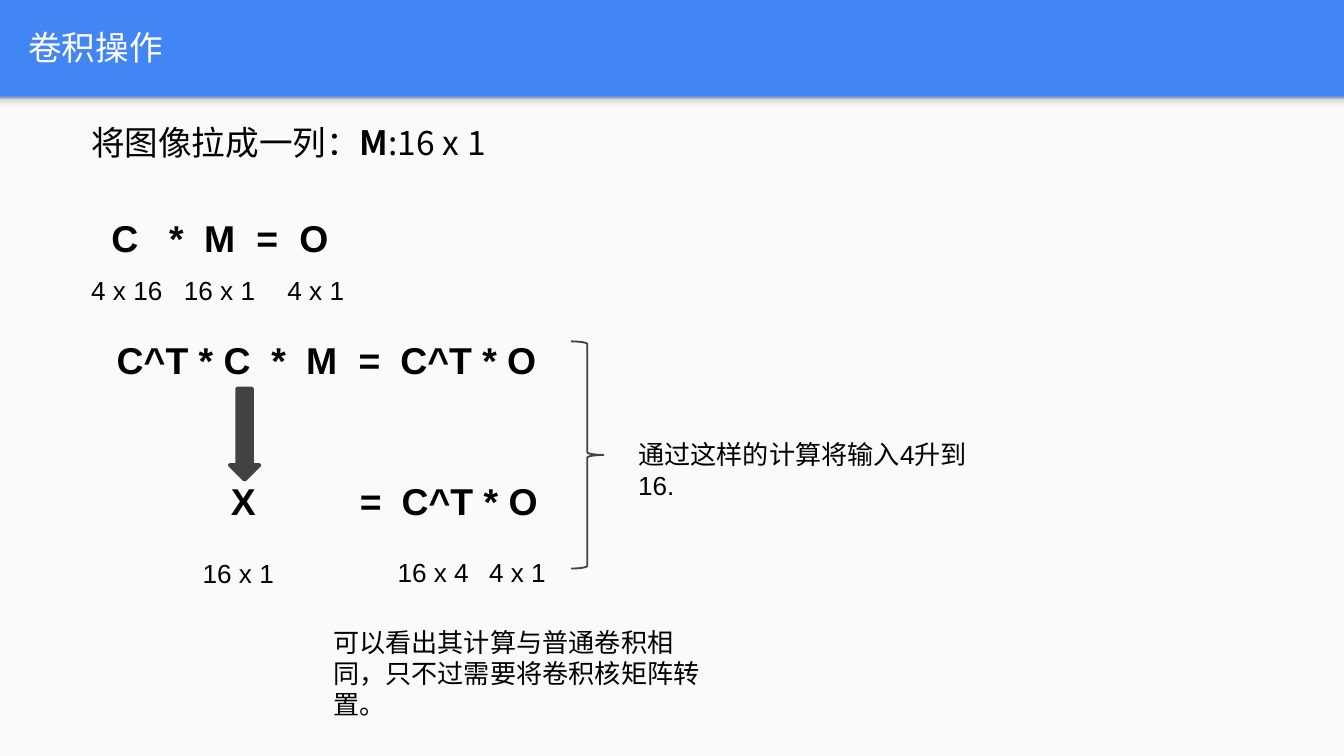
import copy

import pptx
import pptx.dml.color
import pptx.enum.shapes
import pptx.enum.text
import pptx.oxml
import pptx.oxml.ns
import pptx.util

Inches = pptx.util.Inches
Pt = pptx.util.Pt
Shape = pptx.enum.shapes.MSO_SHAPE

COLORS = {
    "header": "4285F4",
    "panel": "FAFAFA",
    "text": "000000",
    "title": "FFFFFF",
    "mark": "424242",
}
SHADE = [(0, "F9F9F9"), (0.36, "F9F9F9"), (0.8, "DEDEDE"), (1, "999999")]


def rgb(value):
    return pptx.dml.color.RGBColor.from_string(value)


class SlideBuilder:
    def __init__(self, slide):
        self.slide = slide
        self.font = "Arial"
        background = slide.background.fill
        background.solid()
        background.fore_color.rgb = rgb(COLORS["header"])

    def add_run(self, paragraph, text, size, font, color="text", bold=False):
        run = paragraph.add_run()
        run.text = text
        run.font.size = Pt(size)
        run.font.name = font
        run.font.bold = bold
        run.font.color.rgb = rgb(COLORS[color])

    def title(self, text, left, top, width, height):
        title = self.slide.shapes.title
        title.left, title.top = Inches(left), Inches(top)
        title.width, title.height = Inches(width), Inches(height)
        frame = title.text_frame
        frame.auto_size = pptx.enum.text.MSO_AUTO_SIZE.NONE
        frame.vertical_anchor = pptx.enum.text.MSO_ANCHOR.MIDDLE
        frame.margin_left = frame.margin_right = Inches(0.1)
        frame.margin_top = frame.margin_bottom = Inches(0.1)
        paragraph = frame.paragraphs[0]
        paragraph.alignment = pptx.enum.text.PP_ALIGN.LEFT
        self.add_run(paragraph, text, 18, "Roboto", "title")

    def text(self, parts, left, top, width, height, size=14, font=None, tabs=()):
        """Add a text box; parts are (text, bold) pairs, tabs are stops in inches."""
        box = self.slide.shapes.add_textbox(
            Inches(left), Inches(top), Inches(width), Inches(height))
        box.text_frame.word_wrap = True
        paragraph = box.text_frame.paragraphs[0]
        properties = paragraph._p.get_or_add_pPr()
        properties.set("hangingPunct", "0")
        if tabs:
            stops = pptx.oxml.parse_xml(
                "<a:tabLst %s/>" % pptx.oxml.ns.nsdecls("a"))
            for position in tabs:
                stop = stops.makeelement(pptx.oxml.ns.qn("a:tab"))
                stop.set("pos", str(Inches(position)))
                stop.set("algn", "l")
                stops.append(stop)
            properties.append(stops)
        for content, bold in parts:
            self.add_run(paragraph, content, size, font or self.font, bold=bold)

    def formula(self, text, left, top, width, tabs):
        self.text([(text, True)], left, top, width, 0.44, size=20, tabs=tabs)

    def shape(self, kind, left, top, width, height, fill=None, line=None):
        """Add a preset shape; line is a width in points."""
        shape = self.slide.shapes.add_shape(
            kind, Inches(left), Inches(top), Inches(width), Inches(height))
        shape.shadow.inherit = False
        if fill:
            shape.fill.solid()
            shape.fill.fore_color.rgb = rgb(COLORS[fill])
        else:
            shape.fill.background()
        if line:
            shape.line.color.rgb = rgb(COLORS["mark"])
            shape.line.width = Pt(line)
        else:
            shape.line.fill.background()
        return shape

    def header_shade(self, left, top, width, height):
        """Add the strip that darkens towards the header above it."""
        strip = self.shape(Shape.RECTANGLE, left, top, width, height)
        strip.fill.gradient()
        stop_list = next(strip._element.spPr.iter(pptx.oxml.ns.qn("a:gsLst")))
        while len(stop_list) < len(SHADE):
            stop_list.append(copy.deepcopy(stop_list[0]))
        for stop, (position, color) in zip(strip.fill.gradient_stops, SHADE):
            stop.position = position
            stop.color.rgb = rgb(color)
        strip.fill.gradient_angle = 90


def main():
    deck = pptx.Presentation()
    deck.slide_width = Inches(10)
    deck.slide_height = deck.slide_width * 9 // 16
    page = SlideBuilder(deck.slides.add_slide(deck.slide_layouts[5]))

    page.shape(Shape.RECTANGLE, 0, 0.72, 10, 4.91, fill="panel")
    page.header_shade(0, 0.72, 10, 0.12)
    page.title("卷积操作", 0.11, 0.02, 9.65, 0.66)

    page.text([("将图像拉成一列：", False), ("M", True), (":16 x 1", False)],
              0.58, 0.86, 3.51, 0.4, size=18, font="Noto Sans CJK SC")

    page.formula("C\t*\tM\t=\tO", 0.73, 1.55, 2.43, [0.43, 0.69, 1.08, 1.4])
    page.formula("C^T * C\t*\tM\t=\tC^T * O", 0.77, 2.46, 3.98,
                 [1.15, 1.41, 1.8, 2.11])
    page.formula("\tX\t=\tC^T * O", 0.77, 3.51, 3.98, [0.85, 1.81, 2.12])

    dimensions = [
        ("4 x 16", 0.58, 1.99, 0.8),
        ("16 x 1", 1.27, 1.99, 0.8),
        ("4 x 1", 2.04, 1.99, 0.71),
        ("16 x 4", 2.86, 4.09, 0.8),
        ("4 x 1", 3.54, 4.09, 0.71),
        ("16 x 1", 1.41, 4.1, 0.8),
    ]
    for size_label, left, top, width in dimensions:
        page.text([(size_label, False)], left, top, width, 0.34)

    page.shape(Shape.DOWN_ARROW, 1.71, 2.89, 0.22, 0.68, fill="mark", line=2)
    page.shape(Shape.RIGHT_BRACE, 4.25, 2.54, 0.24, 1.69, line=1)

    page.text([("通过这样的计算将输入4升到16.", False)], 4.65, 3.21, 2.9, 0.34)
    page.text([("可以看出其计算与普通卷积相同，只不过需要将卷积核矩阵转置。", False)],
              2.38, 4.61, 3.02, 0.57)

    deck.save("out.pptx")


if __name__ == "__main__":
    main()
